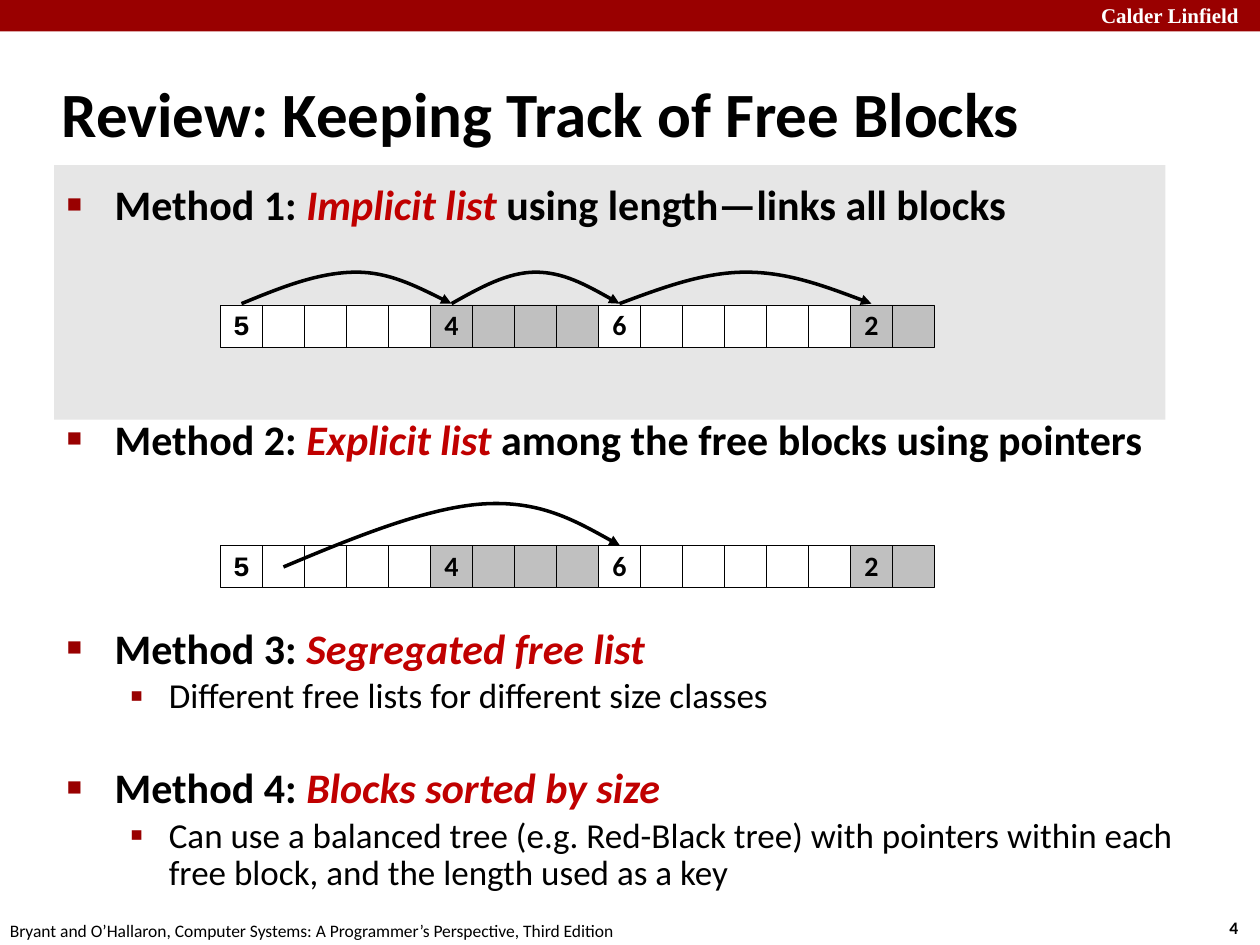
from lxml.etree import SubElement
from pptx import Presentation
from pptx.dml.color import RGBColor
from pptx.enum.shapes import MSO_SHAPE
from pptx.enum.text import MSO_ANCHOR, MSO_AUTO_SIZE, PP_ALIGN
from pptx.oxml.ns import qn
from pptx.util import Inches, Pt

BLACK, WHITE, GREY, PANEL = "000000", "FFFFFF", "C0C0C0", "E6E6E6"
BANNER, ACCENT = "990000", "C00000"
CELL = 1 / 3
ROW_LEFT = 1.75
BLOCKS = [("5", 5, WHITE), ("4", 4, GREY), ("6", 6, WHITE), ("2", 2, GREY)]
LEVELS = [
    {"size": 24, "bold": True, "margin": 0.38, "indent": -0.38, "bullet": "■", "percent": 60},
    {"size": 20, "bold": False, "margin": 0.81, "indent": -0.31, "bullet": "▪", "percent": 110},
]
METHODS = [
    (0, 4.8, 1, ["Method 1: ", "Implicit list ", "using length—links all blocks"]),
    (0, 105, 1, ["Method 2: ", "Explicit list ", "among the free blocks using pointers"]),
    (0, 95.5, 0.83, ["Method 3: ", "Segregated free list"]),
    (1, 4, 0.88, ["Different free lists for different size classes"]),
    (0, 30.5, 0.83, ["Method 4: ", "Blocks sorted by size"]),
    (1, 4, 0.88, ["Can use a balanced tree (e.g. Red-Black tree) with pointers "
                  "within each free block, and the length used as a key"]),
]


def color(value):
    """Turn a hex string into a colour."""
    return RGBColor.from_string(value)


def apply(target, values):
    """Set each attribute named in a dict."""
    for name, value in values.items():
        setattr(target, name, value)


def place(shape, left, top, width, height):
    """Move and size a shape, in inches."""
    apply(shape, {"left": Inches(left), "top": Inches(top),
                  "width": Inches(width), "height": Inches(height)})


def add_span(para, text, size, ink=BLACK, font="Calibri", bold=False, italic=False):
    """Append one formatted run."""
    span = para.add_run()
    span.text = text
    apply(span.font, {"size": Pt(size), "name": font, "bold": bold, "italic": italic})
    span.font.color.rgb = color(ink)


def add_label(page, left, top, width, height, text, size, **style):
    """Add a one-line text box."""
    box = page.shapes.add_textbox(*map(Inches, (left, top, width, height)))
    box.text_frame.word_wrap = False
    add_span(box.text_frame.paragraphs[0], text, size, **style)


def add_rectangle(page, left, top, width, height, fill, outlined=False):
    """Add a flat rectangle, with a hairline if outlined."""
    box = page.shapes.add_shape(MSO_SHAPE.RECTANGLE, *map(Inches, (left, top, width, height)))
    box.shadow.inherit = False
    box.fill.solid()
    box.fill.fore_color.rgb = color(fill)
    if outlined:
        box.line.color.rgb = color(BLACK)
        box.line.width = Pt(0.25)
    else:
        box.line.fill.background()
    return box


def add_title(page, text):
    """Fill the title placeholder."""
    title = page.shapes.title
    place(title, 0.39, 0.48, 9.28, 0.83)
    apply(title.text_frame, {"vertical_anchor": MSO_ANCHOR.MIDDLE, "auto_size": MSO_AUTO_SIZE.NONE})
    para = title.text_frame.paragraphs[0]
    para.alignment = PP_ALIGN.LEFT
    add_span(para, text, 36, bold=True)


def set_bullet(para, level):
    """Give a paragraph its hanging indent and coloured bullet."""
    properties = para._p.get_or_add_pPr()
    properties.set("marL", str(Inches(level["margin"])))
    properties.set("indent", str(Inches(level["indent"])))
    ink = SubElement(properties, qn("a:buClr"))
    SubElement(ink, qn("a:srgbClr"), val=BANNER)
    SubElement(properties, qn("a:buSzPct"), val=str(level["percent"] * 1000))
    SubElement(properties, qn("a:buChar"), char=level["bullet"])


def add_methods(page):
    """Fill the body placeholder with the list of methods."""
    body = page.placeholders[1]
    place(body, 0.43, 1.37, 9.07, 5.88)
    frame = body.text_frame
    frame.auto_size = MSO_AUTO_SIZE.NONE
    for index, (depth, before, spacing, texts) in enumerate(METHODS):
        para = frame.add_paragraph() if index else frame.paragraphs[0]
        level = LEVELS[depth]
        apply(para, {"level": depth, "space_before": Pt(before), "line_spacing": spacing})
        set_bullet(para, level)
        for order, text in enumerate(texts):
            name = order == 1
            add_span(para, text, level["size"], ACCENT if name else BLACK,
                     bold=level["bold"], italic=name)


def add_heap(page, top):
    """Draw a row of heap blocks, each headed by its length."""
    left = ROW_LEFT
    for length, count, fill in BLOCKS:
        for index in range(count):
            cell = add_rectangle(page, left, top, CELL, CELL, fill, outlined=True)
            left += CELL
            if index == 0:
                frame = cell.text_frame
                apply(frame, {"word_wrap": False, "vertical_anchor": MSO_ANCHOR.MIDDLE})
                para = frame.paragraphs[0]
                apply(para, {"alignment": PP_ALIGN.CENTER, "line_spacing": 0.98})
                font = "Courier New" if length == "5" else "Calibri"
                add_span(para, length, 16, font=font, bold=True)


def add_curve(page, points):
    """Draw an arrow along cubic curves given as a start and triples of points."""
    scaled = [(Inches(x), Inches(y)) for x, y in points]
    builder = page.shapes.build_freeform(*scaled[0])
    builder.add_line_segments(scaled[1:], close=False)
    curve = builder.convert_to_shape()
    curve.shadow.inherit = False
    curve.fill.background()
    curve.line.color.rgb = color(BLACK)
    curve.line.width = Pt(2)
    SubElement(curve.line._get_or_add_ln(), qn("a:tailEnd"), type="triangle")
    outline = next(curve._element.iter(qn("a:moveTo"))).getparent()
    lines = outline.findall(qn("a:lnTo"))
    for start in range(0, len(lines), 3):
        bezier = SubElement(outline, qn("a:cubicBezTo"))
        for line in lines[start:start + 3]:
            bezier.append(line[0])
            outline.remove(line)


def add_hop(page, first, last, apex, base=2.41, top=2.16):
    """Draw an arched arrow between the middles of two cells."""
    start, end = (ROW_LEFT + CELL * (index + 0.5) for index in (first, last))
    rise, fall = (apex - start) / 3, (end - apex) / 3
    middle = (base + top) / 2
    add_curve(page, [(start, base), (start + rise, middle), (apex - rise, top), (apex, top),
                     (apex + fall, top), (end - fall, middle), (end, base)])


def main():
    """Build the slide and save it."""
    deck = Presentation()
    apply(deck, {"slide_width": Inches(10), "slide_height": Inches(7.5)})
    page = deck.slides.add_slide(deck.slide_layouts[1])
    panel = add_rectangle(page, 0.43, 1.31, 8.82, 2.02, PANEL)
    page.shapes._spTree.insert(2, panel._element)
    add_rectangle(page, 0, 0, 10, 0.25, BANNER)
    add_label(page, 8.64, -0.03, 1.43, 0.3, "Calder Linfield", 12,
              ink=WHITE, font="Times New Roman", bold=True)
    add_label(page, 9.66, 7.23, 0.37, 0.27, "4", 10, bold=True)
    add_label(page, -0.02, 7.25, 5.08, 0.27, "Bryant and O’Hallaron, Computer Systems: "
              "A Programmer’s Perspective, Third Edition", 10)
    add_title(page, "Review: Keeping Track of Free Blocks")
    add_methods(page)
    for top in (2.42, 4.33):
        add_heap(page, top)
    for first, last, apex in [(0, 5, 2.83), (5, 9, 4.25), (9, 15, 5.92)]:
        add_hop(page, first, last, apex)
    add_curve(page, [(2.25, 4.5), (2.82, 4.26), (3.39, 4.03), (3.83, 4),
                     (4.28, 3.97), (4.6, 4.15), (4.92, 4.33)])
    deck.save("out.pptx")


if __name__ == "__main__":
    main()
